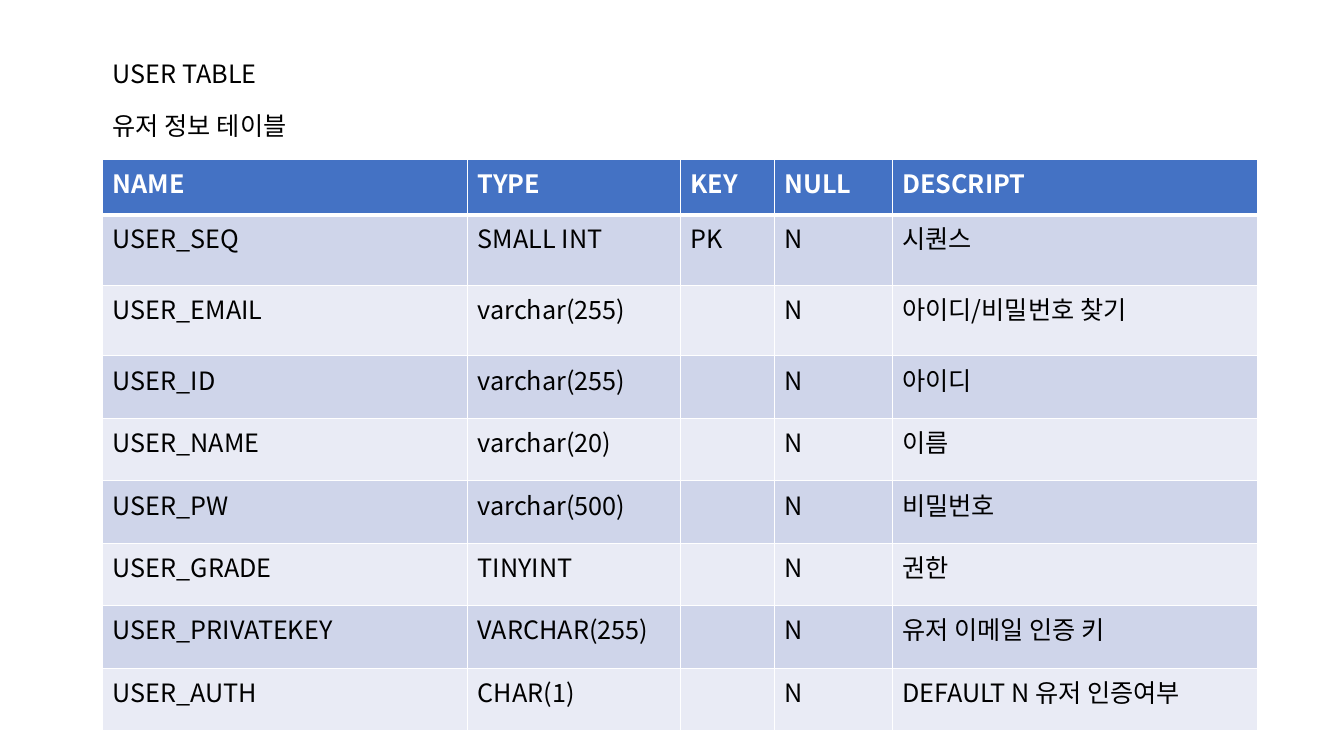
from lxml.etree import SubElement
from pptx import Presentation
from pptx.dml.color import RGBColor
from pptx.oxml import parse_xml
from pptx.oxml.ns import nsdecls, qn
from pptx.util import Inches, Pt

FONT = "Noto Sans CJK KR"
COLORS = {"text": "000000", "header": "4472C4", "odd": "CFD5EA",
          "even": "E9EBF5", "white": "FFFFFF"}

HEADINGS = ["USER TABLE", "유저 정보 테이블"]
HEADER = ("NAME", "TYPE", "KEY", "NULL", "DESCRIPT")
FIELDS = [
    ("USER_SEQ", "SMALL INT", "PK", "N", "시퀀스"),
    ("USER_EMAIL", "varchar(255)", "", "N", "아이디/비밀번호 찾기"),
    ("USER_ID", "varchar(255)", "", "N", "아이디"),
    ("USER_NAME", "varchar(20)", "", "N", "이름"),
    ("USER_PW", "varchar(500)", "", "N", "비밀번호"),
    ("USER_GRADE", "TINYINT", "", "N", "권한"),
    ("USER_PRIVATEKEY", "VARCHAR(255)", "", "N", "유저 이메일 인증 키"),
    ("USER_AUTH", "CHAR(1)", "", "N", "DEFAULT N 유저 인증여부"),
]

LEFT = 1.02
HEADING_TOP, HEADING_STEP = 0.53, 0.52
TABLE_TOP = 1.58
COLUMN_WIDTHS = [3.62, 2.11, 0.93, 1.17, 3.62]
ROW_HEIGHTS = [0.55] + [0.7] * 2 + [0.62] * 6


def write(frame, text, size=18, color="text", bold=False):
    """Put one formatted line of text into a text frame."""
    frame.word_wrap = True
    span = frame.paragraphs[0].add_run()
    span.text = text
    span.font.name = FONT
    span.font.size = Pt(size)
    span.font.bold = bold
    span.font.color.rgb = RGBColor.from_string(COLORS[color])
    SubElement(span.font._element, qn("a:ea"), typeface=FONT)


def set_borders(cell, **widths):
    """Draw white cell borders, with widths in points by side."""
    properties = cell._tc.get_or_add_tcPr()
    for place, (side, width) in enumerate(widths.items()):
        properties.insert(place, parse_xml(
            f'<a:ln{side} {nsdecls("a")} w="{Pt(width)}"><a:solidFill>'
            f'<a:srgbClr val="{COLORS["white"]}"/></a:solidFill></a:ln{side}>'))


def add_headings(page):
    """Add the heading lines above the table."""
    for index, text in enumerate(HEADINGS):
        box = page.shapes.add_textbox(
            Inches(LEFT), Inches(HEADING_TOP + index * HEADING_STEP),
            Inches(6.28), Inches(0.4))
        write(box.text_frame, text)


def add_field_table(page):
    """Add the table of user fields with banded rows."""
    rows = [HEADER] + FIELDS
    table = page.shapes.add_table(
        len(rows), len(HEADER), Inches(LEFT), Inches(TABLE_TOP),
        Inches(sum(COLUMN_WIDTHS)), Inches(sum(ROW_HEIGHTS))).table
    for column, width in zip(table.columns, COLUMN_WIDTHS):
        column.width = Inches(width)
    for index, (values, height) in enumerate(zip(rows, ROW_HEIGHTS)):
        table.rows[index].height = Inches(height)
        is_header = index == 0
        band = "header" if is_header else "odd" if index % 2 else "even"
        for cell, value in zip(table.rows[index].cells, values):
            cell.fill.solid()
            cell.fill.fore_color.rgb = RGBColor.from_string(COLORS[band])
            set_borders(cell, L=1, R=1, T=3 if index == 1 else 1,
                        B=3 if is_header else 1)
            if value:
                write(cell.text_frame, value, bold=is_header,
                      color="white" if is_header else "text")


deck = Presentation()
deck.slide_width, deck.slide_height = Inches(13.33), Inches(7.5)
page = deck.slides.add_slide(deck.slide_layouts[6])
add_field_table(page)
add_headings(page)
deck.save("out.pptx")
